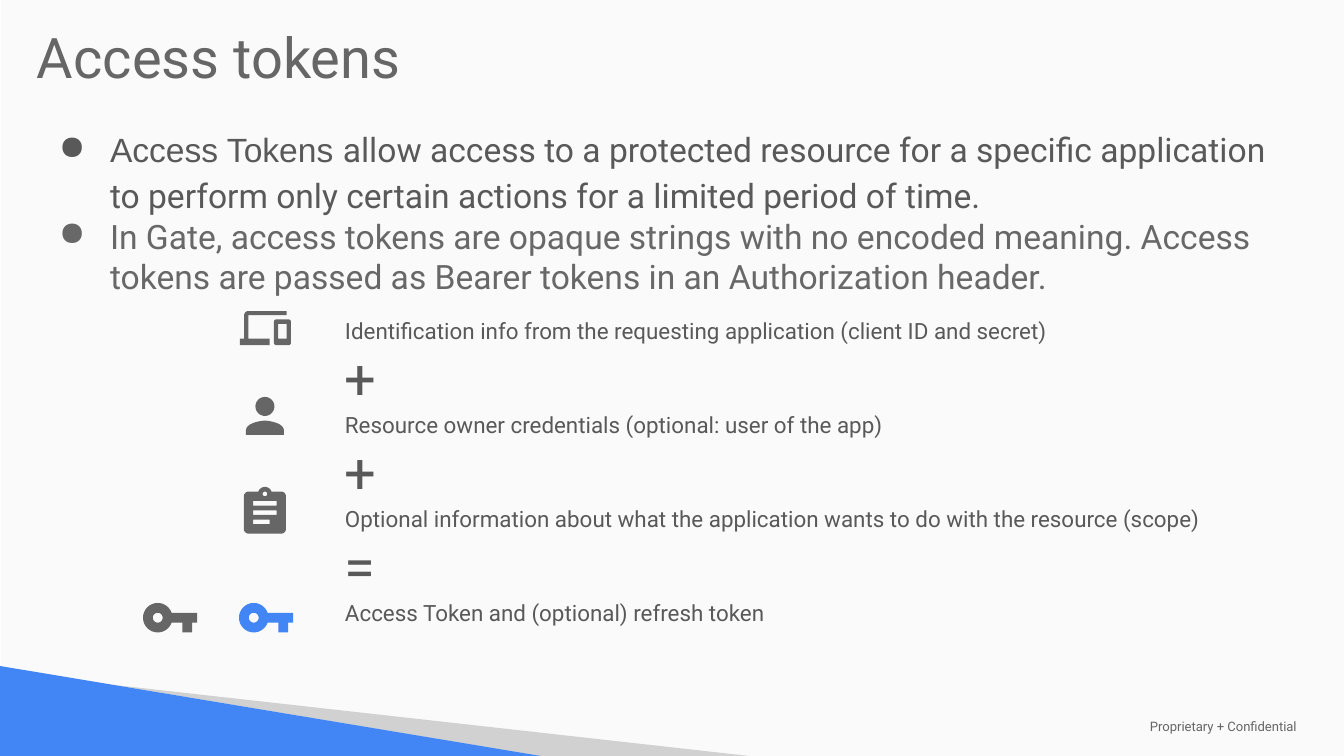
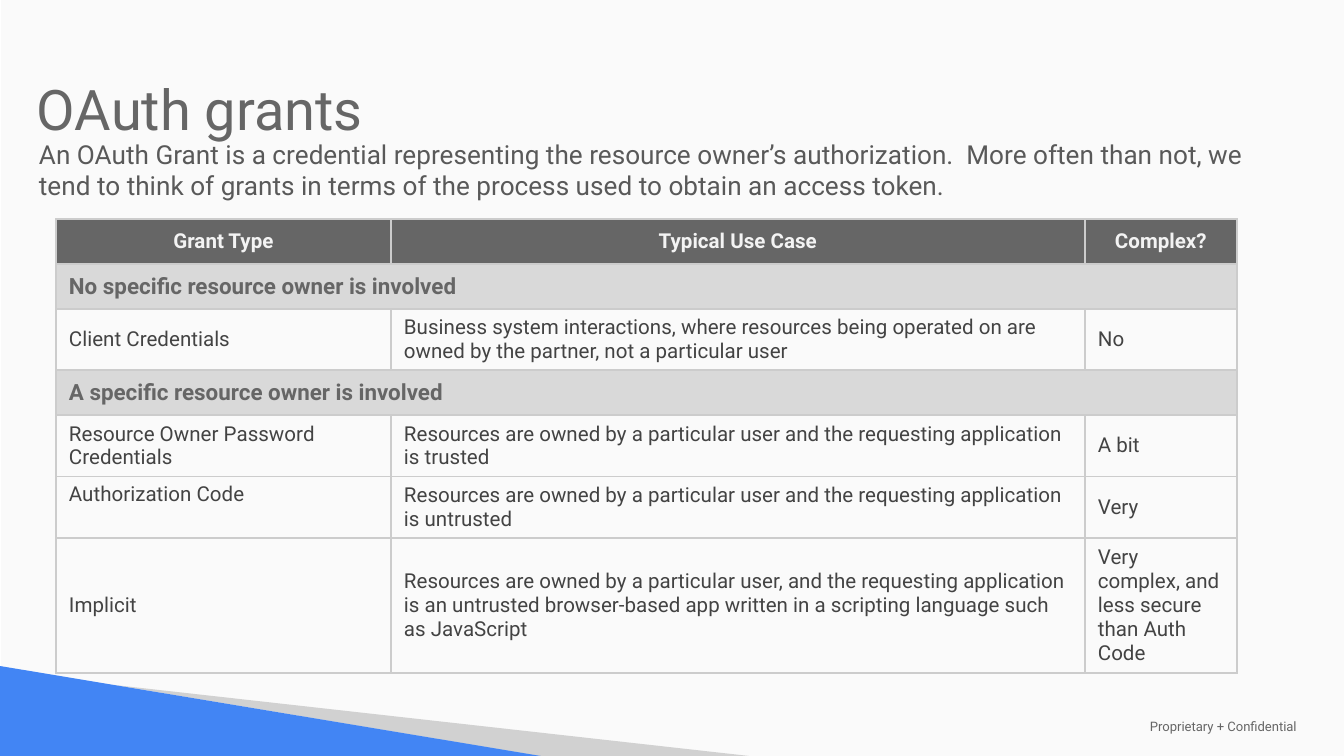
"""Build two slides on access tokens and OAuth grants."""
import dataclasses
import math

import lxml.etree
import pptx
import pptx.dml.color
import pptx.enum.shapes
import pptx.enum.text
import pptx.oxml.ns
import pptx.util


@dataclasses.dataclass(frozen=True)
class Theme:
    font: str = "Roboto"
    alt_font: str = "Arial"
    page: str = "FAFAFA"
    blue: str = "4285F4"
    shade: str = "D1D1D1"
    grey: str = "666666"
    body: str = "595959"
    soft: str = "686868"
    cell: str = "434343"
    head: str = "F3F3F3"
    group: str = "D9D9D9"
    border: str = "CCCCCC"
    title_pt: int = 30
    body_pt: int = 18
    intro_pt: int = 14
    item_pt: int = 12
    cell_pt: int = 11
    footer_pt: int = 7


T = Theme()
PX = 914400 / 134.4
RGB = pptx.dml.color.RGBColor.from_string
ANCHOR = pptx.enum.text.MSO_ANCHOR
ALIGN = pptx.enum.text.PP_ALIGN
qn = pptx.oxml.ns.qn


def add_text(slide, box, inset, paras, anchor=ANCHOR.TOP):
    """Add a text box; each paragraph is (runs, line spacing, bullet colour)."""
    sp = slide.shapes.add_textbox(*[round(v * PX) for v in box])
    tf = sp.text_frame
    tf.word_wrap = True
    tf.vertical_anchor = anchor
    tf.margin_left = tf.margin_right = round(inset[0] * PX)
    tf.margin_top = tf.margin_bottom = round(inset[1] * PX)
    for i, (runs, spacing, bullet) in enumerate(paras):
        p = tf.add_paragraph() if i else tf.paragraphs[0]
        if bullet:
            pPr = p._p.get_or_add_pPr()
            pPr.set("marL", str(round(67 * PX)))
            pPr.set("indent", str(round(-51 * PX)))
            clr = lxml.etree.SubElement(pPr, qn("a:buClr"))
            lxml.etree.SubElement(clr, qn("a:srgbClr"), val=bullet)
            lxml.etree.SubElement(pPr, qn("a:buChar"), char="●")
        p.line_spacing = spacing
        for text, size, color, font in runs:
            r = p.add_run()
            r.text = text
            r.font.size = pptx.util.Pt(size)
            r.font.name = font
            r.font.color.rgb = RGB(color)


def add_outline(slide, contours, color, left=0, top=0, width=None):
    """Fill closed contours, where a six-number step is a cubic curve."""
    flat = []
    for contour in contours:
        pts = []
        for step in contour:
            if len(step) == 2:
                pts.append(step)
                continue
            cubic = [pts[-1], step[:2], step[2:4], step[4:]]
            for t in [n / 8 for n in range(1, 9)]:
                weights = [math.comb(3, k) * t**k * (1 - t) ** (3 - k) for k in range(4)]
                pts.append(tuple(sum(w * c[a] for w, c in zip(weights, cubic)) for a in (0, 1)))
        flat.append(pts)
    x0 = y0 = 0
    scale = PX
    if width:
        xs, ys = zip(*[pt for pts in flat for pt in pts])
        x0, y0 = min(xs), min(ys)
        scale = width * PX / (max(xs) - x0)
    flat = [[(left * PX + (x - x0) * scale, top * PX + (y - y0) * scale)
             for x, y in pts] for pts in flat]
    fb = slide.shapes.build_freeform(*flat[0][0], scale=1.0)
    for i, pts in enumerate(flat):
        if i:
            fb.move_to(*pts[0])
        fb.add_line_segments(pts[1:], close=True)
    sp = fb.convert_to_shape()
    sp.shadow.inherit = False
    sp.fill.solid()
    sp.fill.fore_color.rgb = RGB(color)
    sp.line.fill.background()


prs = pptx.Presentation()
prs.slide_width = round(1344 * PX)
prs.slide_height = round(756 * PX)

titles = [
    ("Access tokens", (24, 20, 972, 83), 1.0),
    ("OAuth grants", (24, 43, 972, 112), 1.15),
]
slides = []
for title, box, spacing in titles:
    s = prs.slides.add_slide(prs.slide_layouts[6])
    sp = s.shapes.add_shape(pptx.enum.shapes.MSO_SHAPE.RECTANGLE, round(PX), 0,
                            round(1343 * PX), prs.slide_height)
    sp.shadow.inherit = False
    sp.fill.solid()
    sp.fill.fore_color.rgb = RGB(T.page)
    sp.line.fill.background()
    add_outline(s, [[(114, 685), (749, 756), (539, 756)]], T.shade)
    add_outline(s, [[(0, 666), (0, 756), (541, 756)]], T.blue)
    add_text(s, (1137, 717, 200, 19), (13, 13),
             [([("Proprietary + Confidential", T.footer_pt, T.grey, T.font)], 1.0, None)],
             ANCHOR.MIDDLE)
    add_text(s, box, (13, 13), [([(title, T.title_pt, T.grey, T.font)], spacing, None)],
             ANCHOR.BOTTOM)
    slides.append(s)
tokens, grants = slides

add_text(tokens, (34, 118, 1254, 173), (9, 5), [
    ([("Access Tokens ", T.body_pt, T.body, T.alt_font),
      ("allow access to a protected resource for a specific application to perform only "
       "certain actions for a limited period of time.", T.body_pt, T.body, T.font)],
     1.15, T.body),
    ([("In Gate, access tokens are opaque strings with no encoded meaning. Access tokens "
       "are passed as Bearer tokens in an Authorization header.", T.body_pt, T.soft, T.font)],
     1.0, T.soft),
])

formula = [
    "Identification info from the requesting application (client ID and secret)",
    "+",
    "Resource owner credentials (optional: user of the app)",
    "+",
    "Optional information about what the application wants to do with the resource (scope)",
    "=",
    "Access Token and (optional) refresh token",
]
add_text(tokens, (334, 312, 916, 349), (11, 5), [
    ([(line, T.title_pt if len(line) == 1 else T.item_pt, T.body, T.font)], 1.0, None)
    for line in formula])

devices = [
    [(4, 6), (22, 6), (22, 4), (4, 4), (2.9, 4, 2, 4.9, 2, 6), (2, 17), (0, 17), (0, 20),
     (14, 20), (14, 17), (4, 17)],
    [(23, 8), (17, 8), (16.45, 8, 16, 8.45, 16, 9), (16, 19), (16, 19.55, 16.45, 20, 17, 20),
     (23, 20), (23.55, 20, 24, 19.55, 24, 19), (24, 9), (24, 8.45, 23.55, 8, 23, 8)],
    [(22, 17), (18, 17), (18, 10), (22, 10)],
]
person = [
    [(12, 12), (14.21, 12, 16, 10.21, 16, 8), (16, 5.79, 14.21, 4, 12, 4),
     (9.79, 4, 8, 5.79, 8, 8), (8, 10.21, 9.79, 12, 12, 12)],
    [(12, 14), (9.33, 14, 4, 15.34, 4, 18), (4, 20), (20, 20), (20, 18),
     (20, 15.34, 14.67, 14, 12, 14)],
]
clipboard = [
    [(19, 3), (14.82, 3), (14.4, 1.84, 13.3, 1, 12, 1), (10.7, 1, 9.6, 1.84, 9.18, 3), (5, 3),
     (3.9, 3, 3, 3.9, 3, 5), (3, 19), (3, 20.1, 3.9, 21, 5, 21), (19, 21),
     (20.1, 21, 21, 20.1, 21, 19), (21, 5), (21, 3.9, 20.1, 3, 19, 3)],
    [(12, 3), (12.55, 3, 13, 3.45, 13, 4), (13, 4.55, 12.55, 5, 12, 5),
     (11.45, 5, 11, 4.55, 11, 4), (11, 3.45, 11.45, 3, 12, 3)],
]
clipboard += [[(7, y), (right, y), (right, y + 2), (7, y + 2)]
              for y, right in [(7, 17), (11, 17), (15, 14)]]
key = [
    [(12.65, 10), (11.83, 7.67, 9.61, 6, 7, 6), (3.69, 6, 1, 8.69, 1, 12),
     (1, 15.31, 3.69, 18, 7, 18), (9.61, 18, 11.83, 16.33, 12.65, 14), (17, 14), (17, 18),
     (21, 18), (21, 14), (23, 14), (23, 10)],
    [(7, 14), (5.9, 14, 5, 13.1, 5, 12), (5, 10.9, 5.9, 10, 7, 10),
     (8.1, 10, 9, 10.9, 9, 12), (9, 13.1, 8.1, 14, 7, 14)],
]
for icon, color, left, top, width in [
    (devices, T.grey, 240, 311, 51),
    (person, T.grey, 246, 397, 38),
    (key, T.grey, 143, 603, 54),
    (key, T.blue, 239, 603, 54),
    (clipboard, T.grey, 244, 487, 42),
]:
    add_outline(tokens, icon, color, left, top, width)

add_text(grants, (26, 125, 1250, 97), (13, 13), [
    ([("An OAuth Grant is a credential representing the resource owner’s authorization.  More "
       "often than not, we tend to think of grants in terms of the process used to obtain an "
       "access token.", T.intro_pt, T.body, T.font)], 1.0, None)])

rows = [
    (45, ["Grant Type", "Typical Use Case", "Complex?"]),
    (45, ["No specific resource owner is involved"]),
    (60, ["Client Credentials",
          "Business system interactions, where resources being operated on are owned by the "
          "partner, not a particular user", "No"]),
    (45, ["A specific resource owner is involved"]),
    (60, ["Resource Owner Password Credentials",
          "Resources are owned by a particular user and the requesting application is trusted",
          "A bit"]),
    (60, ["Authorization Code",
          "Resources are owned by a particular user and the requesting application is untrusted",
          "Very"]),
    (110, ["Implicit",
           "Resources are owned by a particular user, and the requesting application is an "
           "untrusted browser-based app written in a scripting language such as JavaScript",
           "Very complex, and less secure than Auth Code"]),
]
widths = [335, 694, 152]
table = grants.shapes.add_table(
    len(rows), len(widths), round(56 * PX), round(219 * PX), round(sum(widths) * PX),
    round(sum(height for height, _ in rows) * PX)).table
table.first_row = table.horz_banding = False
for col, width in zip(table.columns, widths):
    col.width = round(width * PX)
for i, (height, texts) in enumerate(rows):
    table.rows[i].height = round(height * PX)
    is_head, is_group = i == 0, len(texts) == 1
    if is_group:
        table.cell(i, 0).merge(table.cell(i, len(widths) - 1))
    for j in range(len(widths)):
        cell = table.cell(i, j)
        cell.margin_left = cell.margin_right = round(13 * PX)
        cell.margin_top = cell.margin_bottom = round(6 * PX)
        cell.vertical_anchor = ANCHOR.MIDDLE
        if is_head or is_group:
            cell.fill.solid()
            cell.fill.fore_color.rgb = RGB(T.grey if is_head else T.group)
        else:
            cell.fill.background()
        tcPr = cell._tc.get_or_add_tcPr()
        for n, side in enumerate("LRTB"):
            ln = lxml.etree.Element(qn("a:ln" + side), w="12700")
            fill = lxml.etree.SubElement(ln, qn("a:solidFill"))
            lxml.etree.SubElement(fill, qn("a:srgbClr"), val=T.border)
            tcPr.insert(n, ln)
        if j >= len(texts):
            continue
        p = cell.text_frame.paragraphs[0]
        p.alignment = ALIGN.CENTER if is_head else ALIGN.LEFT
        r = p.add_run()
        r.text = texts[j]
        r.font.name = T.font
        r.font.bold = is_head or is_group
        r.font.size = pptx.util.Pt(T.item_pt if is_group else T.cell_pt)
        r.font.color.rgb = RGB(T.head if is_head else T.grey if is_group else T.cell)
table.cell(5, 0).vertical_anchor = ANCHOR.TOP

prs.save("out.pptx")
